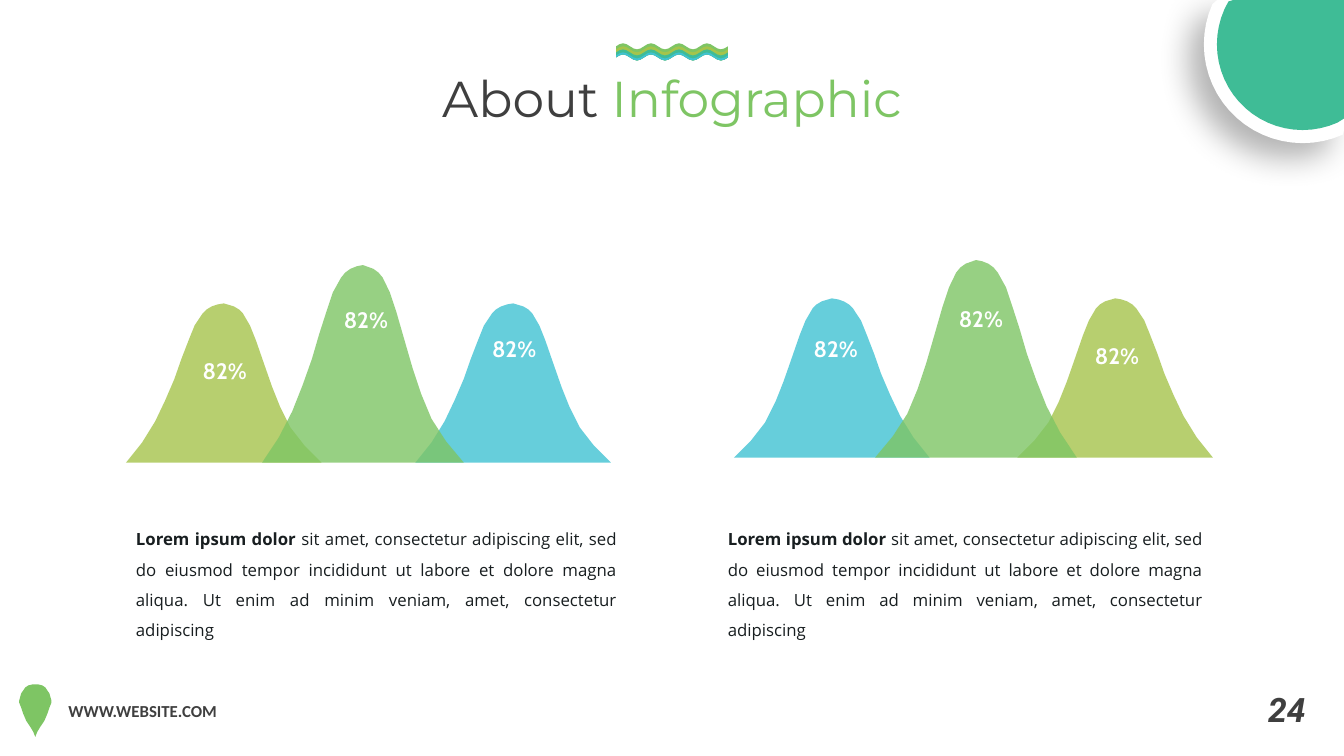
from math import cos, pi, sin

from pptx import Presentation
from pptx.dml.color import RGBColor
from pptx.enum.text import MSO_AUTO_SIZE as AutoSize, PP_ALIGN as Align
from pptx.oxml import parse_xml
from pptx.oxml.ns import nsdecls, qn
from pptx.util import Emu, Pt

PX = 9144  # 100 px to the inch
WIDTH, HEIGHT = 1333, 750
DARK, INK, WHITE = "3F3F3F", "181E20", "FFFFFF"
GREEN, OLIVE, TEAL, BLUE = "7EC564", "A5C44B", "3FBC96", "40C2D2"

# Bell outline, clockwise from the peak, in a cell of 194 by 158
BELL_CELL = (194, 158)
BELL = [
    (97, 0), (107, 3), (112, 6), (116, 10), (123, 22), (129, 37), (138, 63),
    (145, 83), (153, 103), (163, 123), (177, 141), (194, 158), (0, 158),
    (16, 138), (29, 117), (39, 96), (48, 75), (55, 55), (62, 37), (68, 22),
    (76, 10), (80, 6), (85, 3), (91, 1),
]
# Right half of the pin, from top to tip, around its axis
PIN = [
    (0, 0), (3, 0), (7, 1), (10, 3), (14, 9), (16, 16), (16, 18),
    (14, 23), (12, 29), (9, 36), (5, 42), (2, 47), (0, 52),
]


def px(value):
    return Emu(round(value * PX))


def color(code):
    return RGBColor.from_string(code)


def add_span(para, text, size=12, font="Open Sans", ink=INK, bold=False, italic=False):
    span = para.add_run()
    span.text = text
    span.font.size = Pt(size)
    span.font.name = font
    span.font.color.rgb = color(ink)
    span.font.bold = bold
    span.font.italic = italic


class Page:
    """Holds the current slide and draws each kind of element on it."""

    def __init__(self, deck):
        self.slide = deck.slides.add_slide(deck.slide_layouts[6])

    def text(self, place, spans, align=Align.LEFT, wrap=True, spacing=None,
             grow=True, inset=None, **style):
        box = self.slide.shapes.add_textbox(*map(px, place))
        frame = box.text_frame
        frame.word_wrap = wrap
        frame.auto_size = AutoSize.SHAPE_TO_FIT_TEXT if grow else AutoSize.NONE
        if inset is not None:
            frame.margin_left = frame.margin_right = px(inset)
            frame.margin_top = frame.margin_bottom = px(inset)
        para = frame.paragraphs[0]
        para.alignment = align
        if spacing:
            para.line_spacing = spacing
        for words, changes in spans:
            add_span(para, words, **{**style, **changes})

    def outline(self, points, fill, alpha=None):
        start, *rest = [(px(x), px(y)) for x, y in points]
        builder = self.slide.shapes.build_freeform(*start, scale=1.0)
        builder.add_line_segments(rest, close=True)
        shape = builder.convert_to_shape()
        shape.shadow.inherit = False
        shape.line.fill.background()
        shape.fill.solid()
        shape.fill.fore_color.rgb = color(fill)
        if alpha:
            tint = shape._element.spPr.find(qn("a:solidFill"))[0]
            tint.append(parse_xml(f'<a:alpha {nsdecls("a")} val="{alpha * 1000}"/>'))
        return shape

    def bell(self, left, top, width, height, fill, mirrored=False):
        cell_width, cell_height = BELL_CELL
        points = []
        for x, y in BELL:
            across = cell_width - x if mirrored else x
            points.append((left + across * width / cell_width,
                           top + y * height / cell_height))
        self.outline(points, fill, alpha=80)

    def wave(self, left, width, top, bottom, fill):
        steps = 32  # eight for each of four swells
        swell = [(left + width * step / steps, 3 * sin(8 * pi * step / steps))
                 for step in range(steps + 1)]
        upper = [(x, top - rise) for x, rise in swell]
        lower = [(x, bottom - rise) for x, rise in swell]
        self.outline(upper + lower[::-1], fill)

    def corner_disc(self, center_x, center_y, radius, fill):
        """A disc cut off by the top and right edges of the slide."""
        points = [(WIDTH, 0)]
        for degree in range(60, 217, 6):
            angle = degree * pi / 180
            points.append((min(center_x + radius * cos(angle), WIDTH),
                           max(center_y + radius * sin(angle), 0)))
        return self.outline(points, fill)

    def soft_shadow(self, shape, blur, distance, degrees, alpha):
        effects = shape._element.spPr.find(qn("a:effectLst"))
        effects.append(parse_xml(
            f'<a:outerShdw {nsdecls("a")} blurRad="{Pt(blur)}" dist="{Pt(distance)}" '
            f'dir="{degrees * 60000}" algn="ctr" rotWithShape="0">'
            f'<a:srgbClr val="000000"><a:alpha val="{alpha * 1000}"/></a:srgbClr>'
            '</a:outerShdw>'))


def main():
    deck = Presentation()
    deck.slide_width, deck.slide_height = px(WIDTH), px(HEIGHT)
    page = Page(deck)

    # Footer: page number, pin and web address
    page.text((1248, 679, 59, 50), [("24", {})], wrap=False,
              size=24, font="Roboto", ink=DARK, bold=True, italic=True)
    pin_axis, pin_top = 35, 679
    right_half = [(pin_axis + x, pin_top + y) for x, y in PIN]
    left_half = [(pin_axis - x, pin_top + y) for x, y in PIN[-2:0:-1]]
    page.outline(right_half + left_half, GREEN)
    page.text((58, 690, 253, 30), [("WWW.WEBSITE.COM", {})],
              font="Calibri", ink=DARK, bold=True)

    # Corner disc with a white rim
    rim = page.corner_disc(1292, 44, 98, WHITE)
    page.soft_shadow(rim, blur=23, distance=15, degrees=135, alpha=29)
    page.corner_disc(1292, 44, 85, TEAL)

    # Title under stacked waves
    page.text((410, 62, 513, 71), [("About ", {}), ("Infographic", {"ink": GREEN})],
              align=Align.CENTER, wrap=False, size=36, font="Montserrat", ink=DARK)
    for layer, fill in enumerate((GREEN, OLIVE, TEAL, BLUE)):
        page.wave(611, 111, 46 + 3 * layer, 57, fill)

    # Body text
    body = [
        ("Lorem ipsum dolor ", {"bold": True}),
        ("sit amet, consectetur adipiscing elit, sed do eiusmod tempor incididunt "
         "ut labore et dolore magna aliqua. Ut enim ad minim veniam, amet, "
         "consectetur adipiscing", {}),
    ]
    for left, width in ((125, 497), (712, 491)):
        page.text((left, 510, width, 98), body, align=Align.JUSTIFY, spacing=1.5)

    # Bells: two small ones behind a tall one in each group
    small, tall = (194, 158), (200, 196)
    for left, top, size, fill, mirrored in (
        (125, 301, small, OLIVE, False),
        (412, 301, small, BLUE, False),
        (260, 263, tall, GREEN, False),
        (1009, 296, small, OLIVE, True),
        (728, 296, small, BLUE, True),
        (868, 258, tall, GREEN, True),
    ):
        page.bell(left, top, *size, fill, mirrored)

    # Bell values
    for left, top in ((201, 357), (341, 307), (488, 336),
                      (807, 335), (951, 306), (1086, 342)):
        page.text((left, top, 49, 29), [("82%", {})], spacing=0.9, grow=False,
                  inset=0, size=16, font="Cabin", ink=WHITE, bold=True)

    deck.save("out.pptx")


if __name__ == "__main__":
    main()
